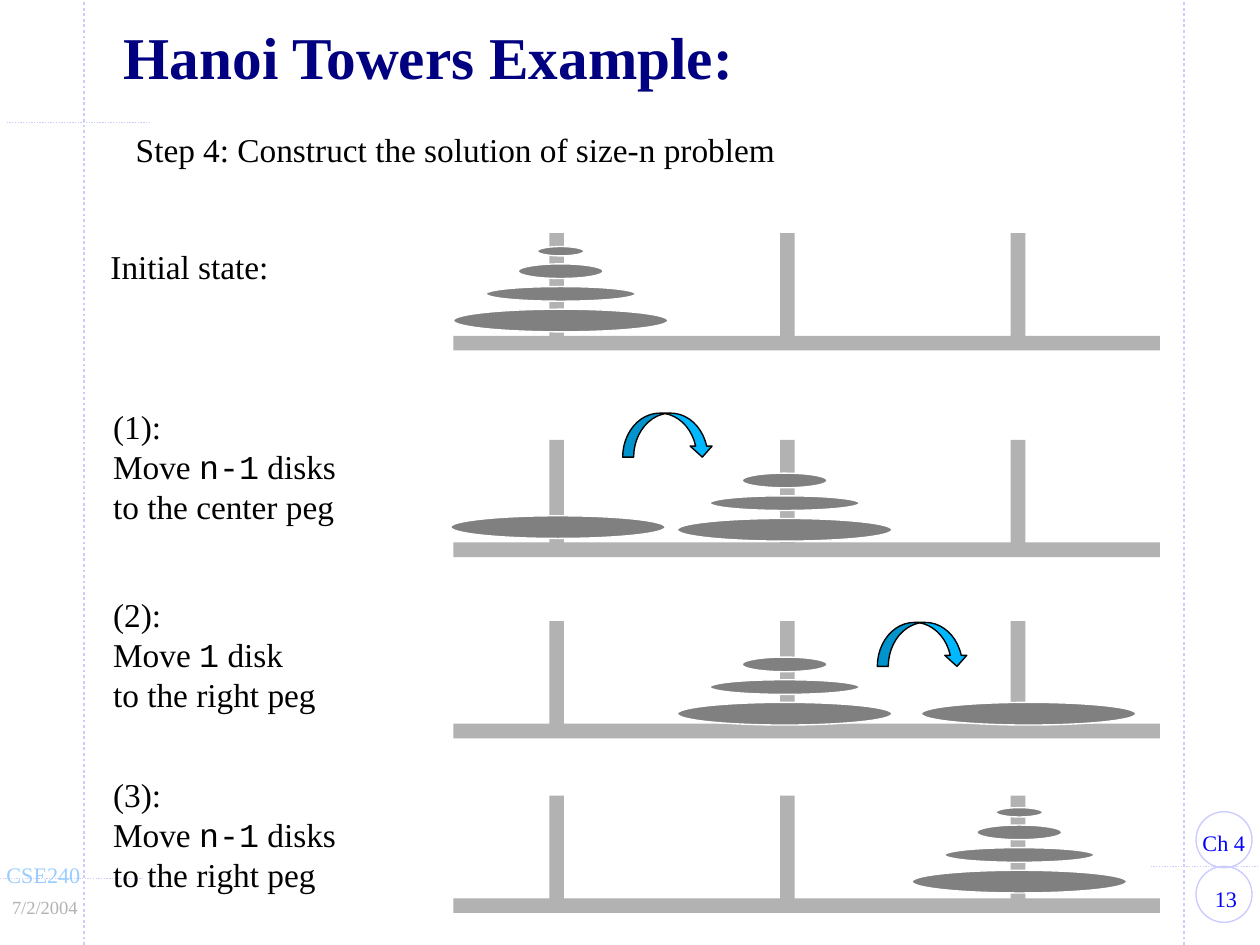
import pptx
import pptx.util
import pptx.dml.color
import pptx.enum.dml
import pptx.enum.shapes
import pptx.enum.text
import pptx.oxml.ns
from lxml import etree

SERIF, MONO = "Times New Roman", "Courier New"
COLORS = {"title": "000080", "body": "000000", "peg": "B2B2B2", "disk": "808080",
          "disk_edge": "FFFFFF", "arrow": "00B8FF", "rule": "CCCCFF",
          "page": "0000FF", "course": "99CCFF", "date": "B2B2B2"}

WIDTH, HEIGHT = 9.45, 7.09
BOARD_LEFT, BOARD_WIDTH, BAR = 3.4, 5.3, 0.11
PEG_CENTER, PEG_STEP, PEG_HEIGHT, PEG_RISE = 4.175, 1.73, 0.82, 0.77
# Largest disk first: width, height, rise of its top above the largest disk's top
DISKS = [(1.61, 0.17, 0), (1.12, 0.11, 0.17), (0.64, 0.11, 0.34), (0.35, 0.07, 0.47)]

# Each paragraph is a list of (text, font) runs
TITLE = [[("Hanoi Towers Example:", SERIF)]]
SUBTITLE = [[("Step 4: Construct the solution of size-n problem", SERIF)]]


def move(number, count, noun, target):
    return [[(f"({number}):", SERIF)],
            [("Move ", SERIF), (count, MONO), (f" {noun}", SERIF)],
            [(f"to the {target} peg", SERIF)]]


# Base top, label box, label, stacks of (peg, sideways nudge, top above base, disk count)
STATES = [
    (2.52, (0.73, 1.8, 1.39, 0.4), [[("Initial state:", SERIF)]], [(0, 0.03, 0.2, 4)]),
    (4.07, (0.75, 3, 1.87, 1), move(1, "n-1", "disks", "center"),
     [(1, -0.02, 0.18, 3), (0, 0.01, 0.2, 1)]),
    (5.43, (0.75, 4.41, 1.72, 1), move(2, "1", "disk", "right"),
     [(1, -0.02, 0.16, 3), (2, 0.08, 0.16, 1)]),
    (6.74, (0.75, 5.76, 1.87, 1), move(3, "n-1", "disks", "right"), [(2, 0.01, 0.21, 4)]),
]
ARROWS = [(4.67, 3.1), (6.58, 4.67)]

RULES = [((0.63, HEIGHT), (0.63, 0), 1.5), ((0, 6.59), (1.08, 6.59), 0.75),
         ((8.88, HEIGHT), (8.88, 0), 1.5), ((8.63, 6.5), (WIDTH, 6.5), 0.75),
         ((0.05, 0.92), (1.13, 0.92), 0.75)]
BADGE_LEFT, BADGE_SIZE, BADGE_TOPS = 8.97, 0.42, (6.5, 6.09)

ALIGN = pptx.enum.text.PP_ALIGN
# Text, box, size, colour, alignment
FURNITURE = [
    ("13", (8.92, 6.59, 0.55, 0.3), 12, "page", ALIGN.CENTER),
    ("Ch 4", (8.92, 6.17, 0.52, 0.3), 12, "page", ALIGN.LEFT),
    ("CSE240", (-0.05, 6.41, 0.76, 0.3), 12, "course", ALIGN.LEFT),
    ("7/2/2004", (-0.01, 6.67, 0.69, 0.27), 10, "date", ALIGN.RIGHT),
]

SHAPES = pptx.enum.shapes.MSO_SHAPE
deck = pptx.Presentation()
deck.slide_width = pptx.util.Inches(WIDTH)
deck.slide_height = pptx.util.Inches(HEIGHT)
slide = deck.slides.add_slide(deck.slide_layouts[6])


def inches(values):
    return [pptx.util.Inches(value) for value in values]


def rgb(name):
    return pptx.dml.color.RGBColor.from_string(COLORS[name])


def add_text(box, paragraphs, size, color, align=ALIGN.LEFT, bold=False):
    frame = slide.shapes.add_textbox(*inches(box)).text_frame
    frame.word_wrap = False
    for index, runs in enumerate(paragraphs):
        paragraph = frame.paragraphs[0] if index == 0 else frame.add_paragraph()
        paragraph.alignment = align
        for words, font in runs:
            run = paragraph.add_run()
            run.text = words
            run.font.name = font
            run.font.size = pptx.util.Pt(size)
            run.font.bold = bold
            run.font.color.rgb = rgb(color)
    return frame


def add_figure(kind, box, fill=None, edge=None):
    figure = slide.shapes.add_shape(kind, *inches(box))
    figure.shadow.inherit = False
    if fill:
        figure.fill.solid()
        figure.fill.fore_color.rgb = rgb(fill)
    else:
        figure.fill.background()
    if edge:
        figure.line.color.rgb = rgb(edge)
        figure.line.width = pptx.util.Pt(0.75)
    else:
        figure.line.fill.background()


def add_rule(start, end, weight):
    rule = slide.shapes.add_connector(pptx.enum.shapes.MSO_CONNECTOR.STRAIGHT,
                                      *inches(start + end))
    rule.line.color.rgb = rgb("rule")
    rule.line.width = pptx.util.Pt(weight)
    rule.line.dash_style = pptx.enum.dml.MSO_LINE.ROUND_DOT
    etree.SubElement(rule._element.spPr, pptx.oxml.ns.qn("a:effectLst"))


def add_board(base, stacks):
    """Draw the base, its three pegs and the disks stacked on them."""
    add_figure(SHAPES.RECTANGLE, (BOARD_LEFT, base, BOARD_WIDTH, BAR), "peg")
    centers = [PEG_CENTER + peg * PEG_STEP for peg in range(3)]
    for center in centers:
        add_figure(SHAPES.RECTANGLE,
                   (center - BAR / 2, base - PEG_RISE, BAR, PEG_HEIGHT), "peg")
    for peg, nudge, above, count in stacks:
        for width, height, rise in DISKS[:count]:
            left = centers[peg] + nudge - width / 2
            add_figure(SHAPES.OVAL, (left, base - above - rise, width, height),
                       "disk", "disk_edge")


for rule in RULES:
    add_rule(*rule)
for top in BADGE_TOPS:
    add_figure(SHAPES.OVAL, (BADGE_LEFT, top, BADGE_SIZE, BADGE_SIZE), edge="rule")
for words, box, size, color, align in FURNITURE:
    add_text(box, [[(words, SERIF)]], size, color, align)

title = add_text((0.83, 0.17, 8.08, 0.58), TITLE, 32, "title", bold=True)
title.word_wrap = True
title.vertical_anchor = pptx.enum.text.MSO_ANCHOR.MIDDLE
title.paragraphs[0].line_spacing = 0.85
add_text((0.92, 0.92, 5.06, 0.4), SUBTITLE, 18, "body")

for base, label_box, label, stacks in STATES:
    add_board(base, stacks)
    add_text(label_box, label, 18, "body")
for left, top in ARROWS:
    add_figure(SHAPES.CURVED_DOWN_ARROW, (left, top, 0.68, 0.33), "arrow", "body")

deck.save("out.pptx")
